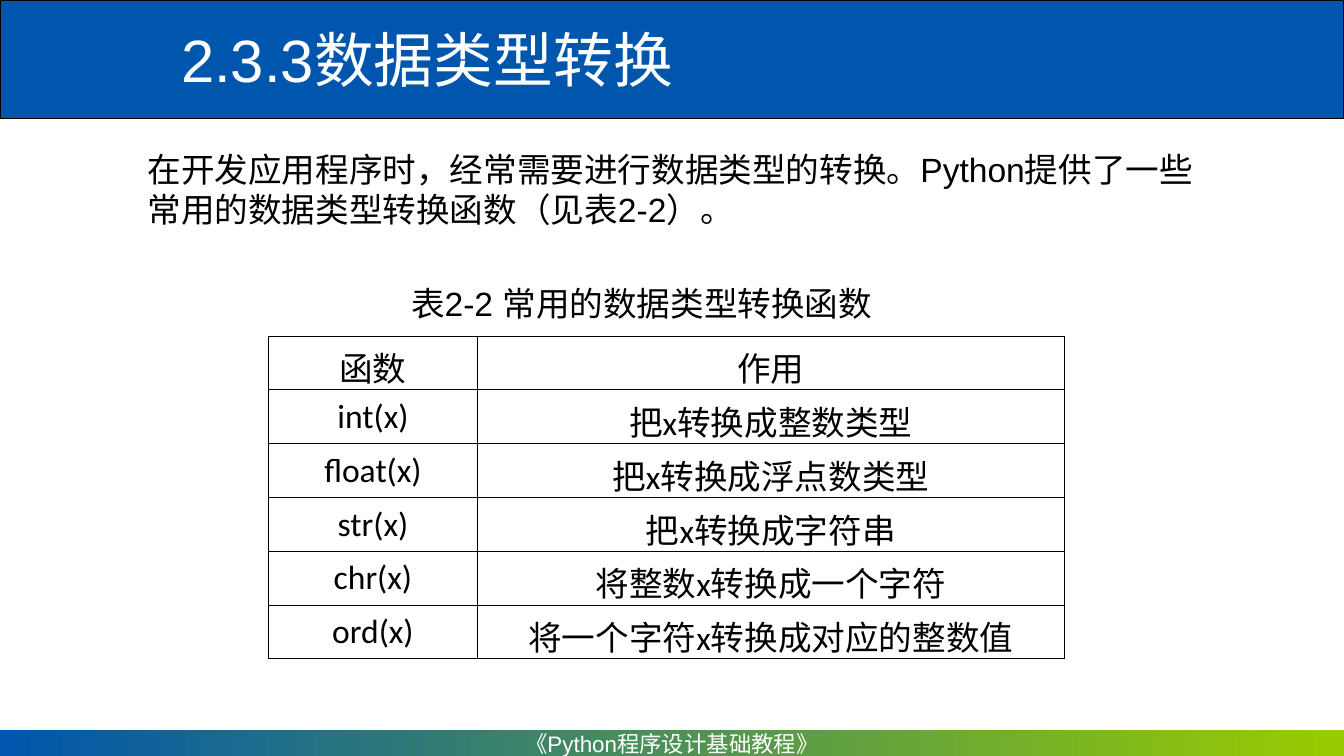
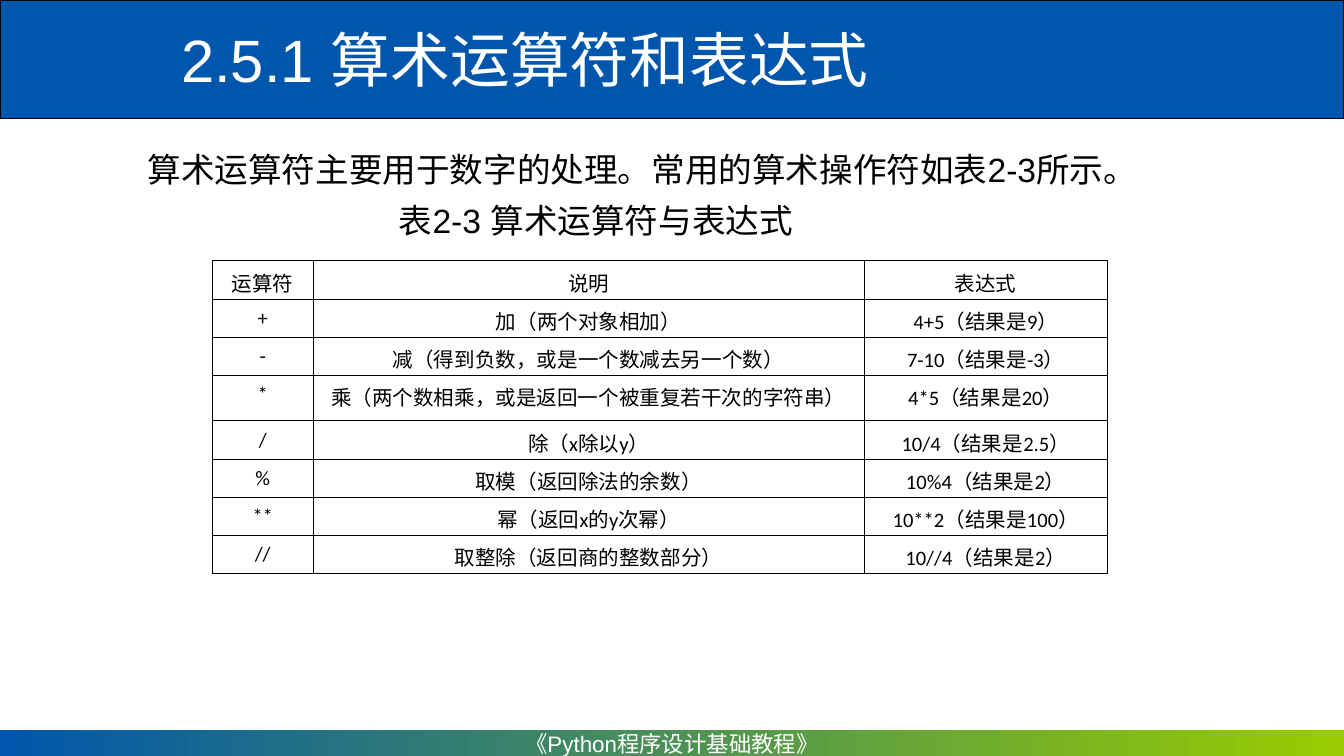
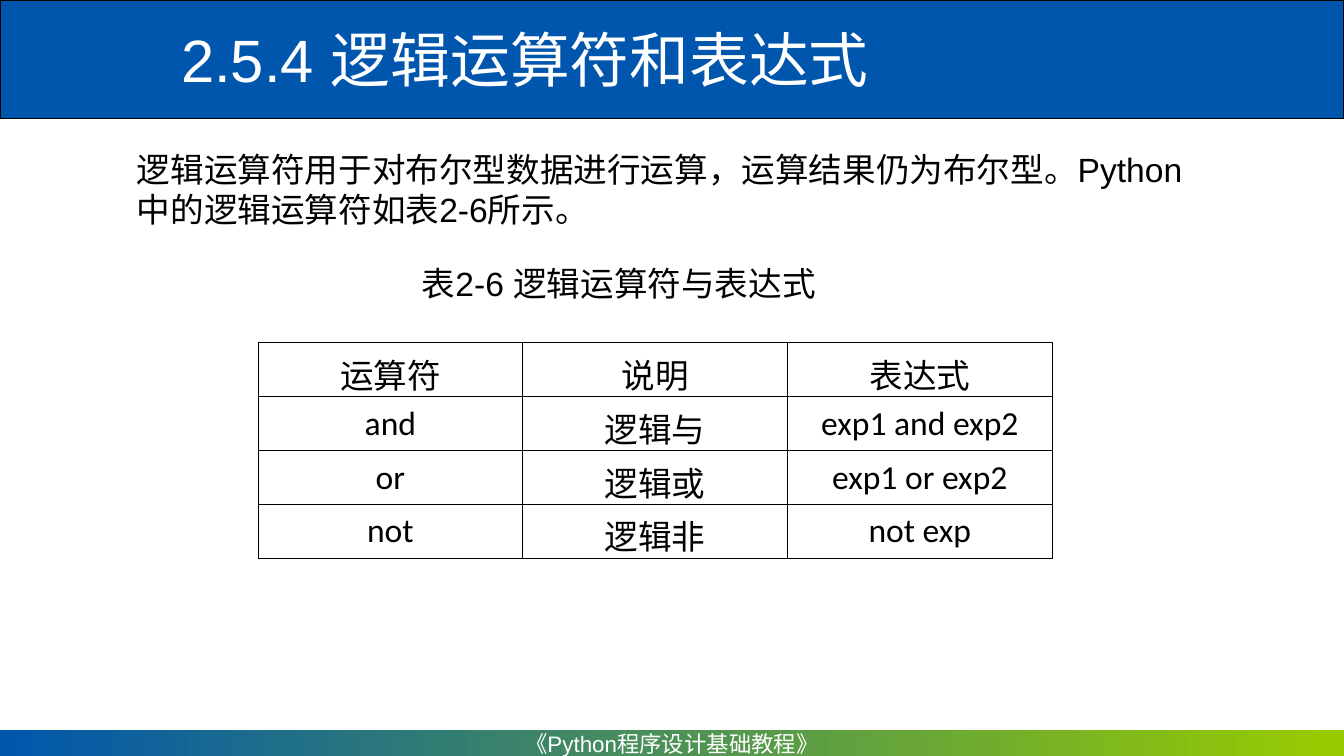
from dataclasses import dataclass

import pptx
import pptx.dml.color
import pptx.enum.shapes
import pptx.enum.text
import pptx.oxml
import pptx.oxml.ns
import pptx.shapes.autoshape
import pptx.slide
import pptx.table
import pptx.text.text
import pptx.util

Inches = pptx.util.Inches
Pt = pptx.util.Pt
Align = pptx.enum.text.PP_ALIGN
Anchor = pptx.enum.text.MSO_ANCHOR
AutoSize = pptx.enum.text.MSO_AUTO_SIZE


@dataclass(frozen=True)
class Theme:
    blue: str = "0056AC"
    green: str = "99CC00"
    black: str = "000000"
    white: str = "FFFFFF"
    text_font: str = "Arial"
    table_font: str = "Calibri"
    title_size: float = 32
    body_size: float = 18
    small_size: float = 11
    footer_size: float = 12
    band_line: float = 0.75
    border: float = 0.45


THEME = Theme()
PAGE_WIDTH = 10
PAGE_HEIGHT = PAGE_WIDTH * 9 / 16
HEADER_HEIGHT = 0.88
FOOTER_HEIGHT = 0.19
FOOTER = "《Python程序设计基础教程》"


@dataclass(frozen=True)
class Block:
    """A text and the place of its box, in inches."""
    text: str
    left: float
    top: float
    width: float
    height: float


@dataclass(frozen=True)
class Grid:
    left: float
    top: float
    columns: tuple[float, ...]
    rows: tuple[tuple[str, ...], ...]
    row_height: float
    size: float = THEME.body_size
    tall_rows: tuple[int, ...] = ()
    tall_height: float = 0.34

    def height_of(self, row: int) -> float:
        return self.tall_height if row in self.tall_rows else self.row_height


@dataclass(frozen=True)
class Lesson:
    title: str
    intro: Block
    caption: Block
    grid: Grid


LESSONS = (
    Lesson(
        "2.3.3数据类型转换",
        Block("在开发应用程序时，经常需要进行数据类型的转换。Python提供了一些常用的数据类型转换函数（见表2-2）。",
              1, 1.06, 8, 0.7),
        Block("表2-2 常用的数据类型转换函数", 2.96, 2.06, 3.75, 0.4),
        Grid(2, 2.5, (1.55, 4.37), (
            ("函数", "作用"),
            ("int(x)", "把x转换成整数类型"),
            ("float(x)", "把x转换成浮点数类型"),
            ("str(x)", "把x转换成字符串"),
            ("chr(x)", "将整数x转换成一个字符"),
            ("ord(x)", "将一个字符x转换成对应的整数值"),
        ), row_height=0.3),
    ),
    Lesson(
        "2.5.1 算术运算符和表达式",
        Block("算术运算符主要用于数字的处理。常用的算术操作符如表2-3所示。", 1, 1.06, 8, 0.4),
        Block("表2-3 算术运算符与表达式", 2.87, 1.44, 3.25, 0.4),
        Grid(1.58, 1.94, (0.75, 4.1, 1.81), (
            ("运算符", "说明", "表达式"),
            ("+", "加（两个对象相加）", "4+5（结果是9）"),
            ("-", "减（得到负数，或是一个数减去另一个数）", "7-10（结果是-3）"),
            ("*", "乘（两个数相乘，或是返回一个被重复若干次的字符串）", "4*5（结果是20）"),
            ("/", "除（x除以y）", "10/4（结果是2.5）"),
            ("%", "取模（返回除法的余数）", "10%4（结果是2）"),
            ("**", "幂（返回x的y次幂）", "10**2（结果是100）"),
            ("//", "取整除（返回商的整数部分）", "10//4（结果是2）"),
        ), row_height=0.18, size=THEME.small_size, tall_rows=(3,)),
    ),
    Lesson(
        "2.5.4 逻辑运算符和表达式",
        Block("逻辑运算符用于对布尔型数据进行运算，运算结果仍为布尔型。Python中的逻辑运算符如表2-6所示。",
              0.92, 1.06, 8.08, 0.7),
        Block("表2-6 逻辑运算符与表达式", 3.04, 1.91, 3.25, 0.4),
        Grid(1.92, 2.55, (1.97,) * 3, (
            ("运算符", "说明", "表达式"),
            ("and", "逻辑与", "exp1 and exp2"),
            ("or", "逻辑或", "exp1 or exp2"),
            ("not", "逻辑非", "not exp"),
        ), row_height=0.3),
    ),
)


def rgb(value: str) -> pptx.dml.color.RGBColor:
    return pptx.dml.color.RGBColor.from_string(value)


def write_text(frame: pptx.text.text.TextFrame, text: str, *, size: float = THEME.body_size,
               font: str = THEME.text_font, color: str = THEME.black,
               align: Align = Align.LEFT) -> None:
    para = frame.paragraphs[0]
    para.alignment = align
    span = para.add_run()
    span.text = text
    span.font.size = Pt(size)
    span.font.name = font
    span.font.color.rgb = rgb(color)


def add_box(page: pptx.slide.Slide, block: Block, *, wrap: bool = True,
            size: float = THEME.body_size, color: str = THEME.black,
            anchor: Anchor = Anchor.TOP, grow: bool = True) -> None:
    box = page.shapes.add_textbox(Inches(block.left), Inches(block.top),
                                  Inches(block.width), Inches(block.height))
    frame = box.text_frame
    frame.word_wrap = wrap
    frame.vertical_anchor = anchor
    frame.auto_size = AutoSize.SHAPE_TO_FIT_TEXT if grow else AutoSize.NONE
    write_text(frame, block.text, size=size, color=color)


def add_band(page: pptx.slide.Slide, top: float,
             height: float) -> pptx.shapes.autoshape.Shape:
    band = page.shapes.add_shape(pptx.enum.shapes.MSO_SHAPE.RECTANGLE, Inches(0), Inches(top),
                                 Inches(PAGE_WIDTH), Inches(height))
    band.shadow.inherit = False
    return band


def add_frame(page: pptx.slide.Slide, title: str) -> None:
    """Draw the title band and the footer band that every page has."""
    header = add_band(page, 0, HEADER_HEIGHT)
    header.fill.solid()
    header.fill.fore_color.rgb = rgb(THEME.blue)
    header.line.color.rgb = rgb(THEME.black)
    header.line.width = Pt(THEME.band_line)

    footer = add_band(page, PAGE_HEIGHT - FOOTER_HEIGHT, FOOTER_HEIGHT)
    footer.fill.gradient()
    footer.fill.gradient_angle = 0
    for stop, color in zip(footer.fill.gradient_stops, (THEME.blue, THEME.green)):
        stop.color.rgb = rgb(color)
    footer.line.fill.background()
    footer.text_frame.word_wrap = False
    footer.text_frame.vertical_anchor = Anchor.MIDDLE
    write_text(footer.text_frame, FOOTER, size=THEME.footer_size, color=THEME.white,
               align=Align.CENTER)

    add_box(page, Block(title, 1.25, 0.06, 8.75, 0.75), size=THEME.title_size,
            color=THEME.white, anchor=Anchor.MIDDLE, grow=False)


def set_borders(cell: pptx.table._Cell) -> None:
    properties = cell._tc.get_or_add_tcPr()
    for index, side in enumerate(("lnL", "lnR", "lnT", "lnB")):
        line = pptx.oxml.parse_xml(
            f'<a:{side} {pptx.oxml.ns.nsdecls("a")} w="{int(Pt(THEME.border))}">'
            f'<a:solidFill><a:srgbClr val="{THEME.black}"/></a:solidFill></a:{side}>')
        properties.insert(index, line)


def add_grid(page: pptx.slide.Slide, grid: Grid) -> None:
    heights = [grid.height_of(row) for row in range(len(grid.rows))]
    table = page.shapes.add_table(len(grid.rows), len(grid.columns), Inches(grid.left),
                                  Inches(grid.top), Inches(sum(grid.columns)),
                                  Inches(sum(heights))).table
    table.first_row = False
    table.horz_banding = False
    for column, width in zip(table.columns, grid.columns):
        column.width = Inches(width)
    for row, height, texts in zip(table.rows, heights, grid.rows):
        row.height = Inches(height)
        for cell, text in zip(row.cells, texts):
            cell.margin_left = cell.margin_right = Inches(0.08)
            cell.margin_top = cell.margin_bottom = Inches(0.05)
            cell.fill.background()
            set_borders(cell)
            write_text(cell.text_frame, text, size=grid.size, font=THEME.table_font,
                       align=Align.CENTER)


def main() -> None:
    deck = pptx.Presentation()
    deck.slide_width = Inches(PAGE_WIDTH)
    deck.slide_height = Inches(PAGE_HEIGHT)
    for lesson in LESSONS:
        page = deck.slides.add_slide(deck.slide_layouts[6])
        add_frame(page, lesson.title)
        add_box(page, lesson.intro)
        add_box(page, lesson.caption, wrap=False)
        add_grid(page, lesson.grid)
    deck.save("out.pptx")


if __name__ == "__main__":
    main()
